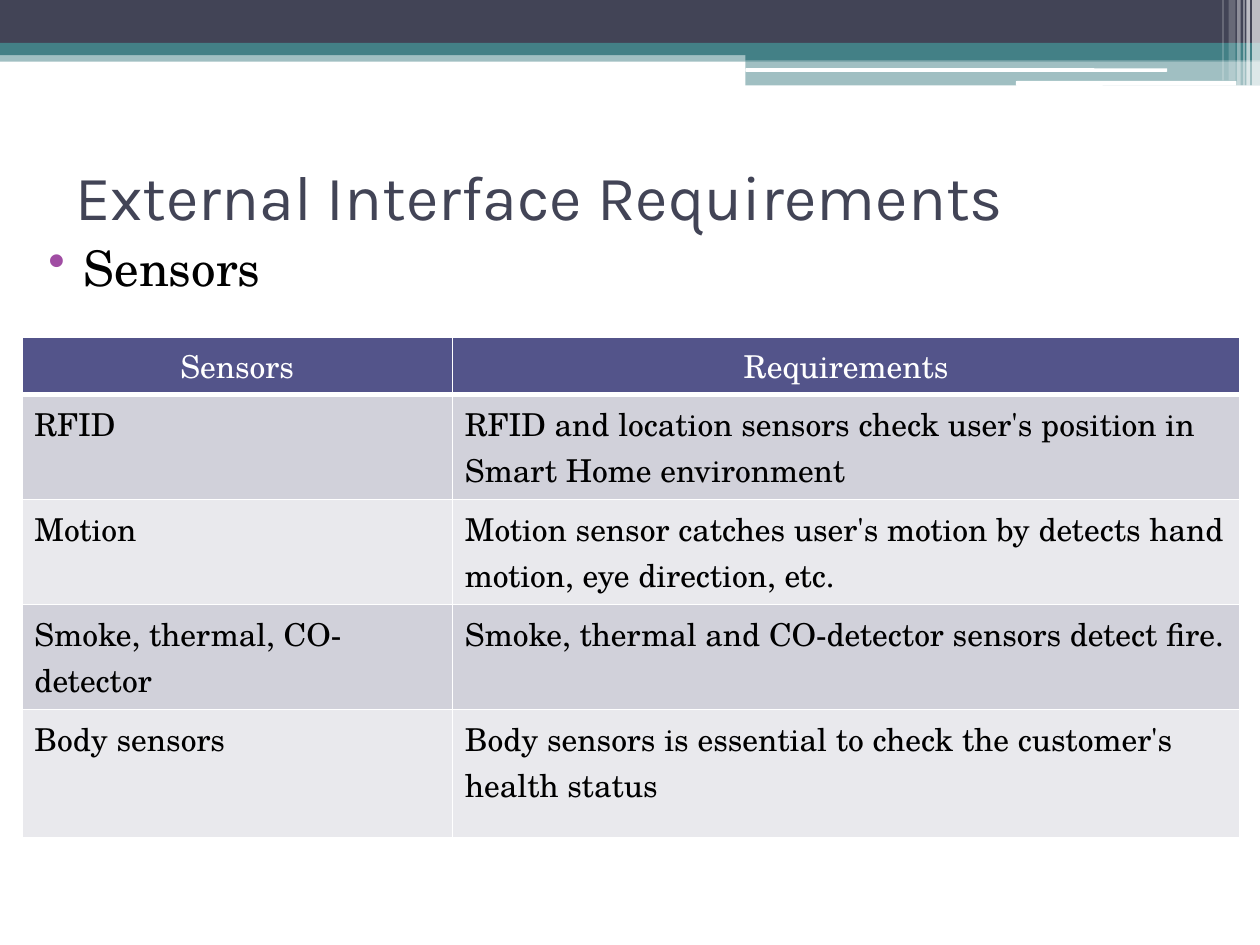
from lxml import etree
from pptx import Presentation
from pptx.dml.color import RGBColor
from pptx.enum.shapes import MSO_SHAPE
from pptx.enum.text import MSO_ANCHOR, PP_ALIGN
from pptx.oxml.ns import qn
from pptx.util import Pt

RECT, ROUND = MSO_SHAPE.RECTANGLE, MSO_SHAPE.ROUNDED_RECTANGLE
TOP, LEFT, CENTER = MSO_ANCHOR.TOP, PP_ALIGN.LEFT, PP_ALIGN.CENTER
WHITE = RGBColor(0xFF, 0xFF, 0xFF)
BLACK = RGBColor(0, 0, 0)
SLATE = RGBColor(0x42, 0x44, 0x56)
TEAL = RGBColor(0x43, 0x80, 0x86)
PURPLE = RGBColor(0xA0, 0x4D, 0xA3)
INDIGO = RGBColor(0x53, 0x54, 0x8A)
BANDS = (RGBColor(0xD1, 0xD1, 0xDA), RGBColor(0xE9, 0xE9, 0xED))
HEAD_FONT, BODY_FONT = "Karla", "TeX Gyre Schola"

ROWS = [
    ("Sensors", "Requirements"),
    ("RFID", "RFID and location sensors check user's position in Smart Home environment"),
    ("Motion", "Motion sensor catches user's motion by detects hand motion, eye direction, etc."),
    ("Smoke, thermal, CO-detector", "Smoke, thermal and CO-detector sensors detect fire."),
    ("Body sensors", "Body sensors is essential to check the customer's health status"),
]


def add_bar(s, x, y, w, h, color, alpha=100, kind=RECT):
    sp = s.shapes.add_shape(kind, Pt(x), Pt(y), Pt(w), Pt(h))
    sp.shadow.inherit = False
    sp.fill.solid()
    sp.fill.fore_color.rgb = color
    sp.line.fill.background()
    if alpha < 100:
        clr = sp.fill._xPr.find(qn("a:solidFill"))[0]
        etree.SubElement(clr, qn("a:alpha"), val=str(alpha * 1000))


def add_run(p, text, size, font, color):
    r = p.add_run()
    r.text = text
    r.font.size = Pt(size)
    r.font.name = font
    r.font.color.rgb = color


def add_text_box(s, x, y, w, h):
    tf = s.shapes.add_textbox(Pt(x), Pt(y), Pt(w), Pt(h)).text_frame
    tf.word_wrap = True
    tf.vertical_anchor = TOP
    return tf


def add_header(s, x, y, w):
    # Full-width bands
    add_bar(s, x, y + 28.8, w, 6.5, TEAL, 50)
    add_bar(s, x, y, w, 24.5, SLATE)
    add_bar(s, x, y + 24.5, w, 7, TEAL)
    # Stepped block on the right with white rules
    step = 426
    add_bar(s, x + step, y + 28, w - step, 6.5, TEAL)
    add_bar(s, x + step, y + 34.5, w - step, 14.25, TEAL, 50)
    add_bar(s, x + step, y + 39, 241, 2, WHITE, kind=ROUND)
    add_bar(s, x + 580.5, y + 46.25, 126, 2.75, WHITE, kind=ROUND)
    # Translucent stripes: distance from right edge, width, height, opacity
    for off, width, height, alpha in [
        (4.5, 4.5, 49, 65), (7.75, 2, 49, 65), (9.5, 0.7, 49, 60),
        (13, 2, 49, 40), (18, 4, 46, 20), (21.5, 0.7, 46, 30),
    ]:
        add_bar(s, x + w - off, y, width, height, WHITE, alpha)


def add_title(s, x, y, w, h):
    tf = add_text_box(s, x, y, w, h)
    tf.margin_top = 0
    add_run(tf.paragraphs[0], "External Interface Requirements", 36, HEAD_FONT, SLATE)


def add_body(s, x, y, w, h):
    p = add_text_box(s, x, y, w, h).paragraphs[0]
    p.space_before = Pt(3)
    pPr = p._p.get_or_add_pPr()
    pPr.set("marL", str(Pt(28.8)))
    pPr.set("indent", str(Pt(-20.16)))
    clr = etree.SubElement(pPr, qn("a:buClr"))
    etree.SubElement(clr, qn("a:srgbClr"), val=str(PURPLE))
    etree.SubElement(pPr, qn("a:buChar"), char="•")
    add_run(p, "Sensors", 28, BODY_FONT, BLACK)


def set_borders(cell, bottom):
    tcPr = cell._tc.get_or_add_tcPr()
    widths = {"a:lnL": 1, "a:lnR": 1, "a:lnT": 1, "a:lnB": bottom}
    for i, (tag, width) in enumerate(widths.items()):
        ln = etree.Element(qn(tag), w=str(Pt(width)))
        fill = etree.SubElement(ln, qn("a:solidFill"))
        etree.SubElement(fill, qn("a:srgbClr"), val=str(WHITE))
        tcPr.insert(i, ln)


def add_sensor_table(s, x, y, w, h):
    first_col, head_h, last_h = 246, 33, 73
    mid_h = (h - head_h - last_h) / (len(ROWS) - 2)
    heights = [head_h] + [mid_h] * (len(ROWS) - 2) + [last_h]
    table = s.shapes.add_table(len(ROWS), 2, Pt(x), Pt(y), Pt(w), Pt(h)).table
    for col, width in zip(table.columns, (first_col, w - first_col)):
        col.width = Pt(width)
    for i, texts in enumerate(ROWS):
        head = i == 0
        table.rows[i].height = Pt(heights[i])
        for cell, text in zip(table.rows[i].cells, texts):
            cell.fill.solid()
            cell.fill.fore_color.rgb = INDIGO if head else BANDS[(i - 1) % 2]
            set_borders(cell, 3 if head else 1)
            p = cell.text_frame.paragraphs[0]
            p.alignment = CENTER if head else LEFT
            add_run(p, text, 18, BODY_FONT, WHITE if head else BLACK)


def main():
    prs = Presentation()
    prs.slide_width, prs.slide_height = Pt(720), Pt(540)
    s = prs.slides.add_slide(prs.slide_layouts[6])
    add_header(s, 0, 0, 720)
    add_title(s, 36, 90, 648, 84)
    add_body(s, 12, 132, 648, 340.5)
    add_sensor_table(s, 12.5, 192.5, 696, 286)
    prs.save("out.pptx")


if __name__ == "__main__":
    main()
